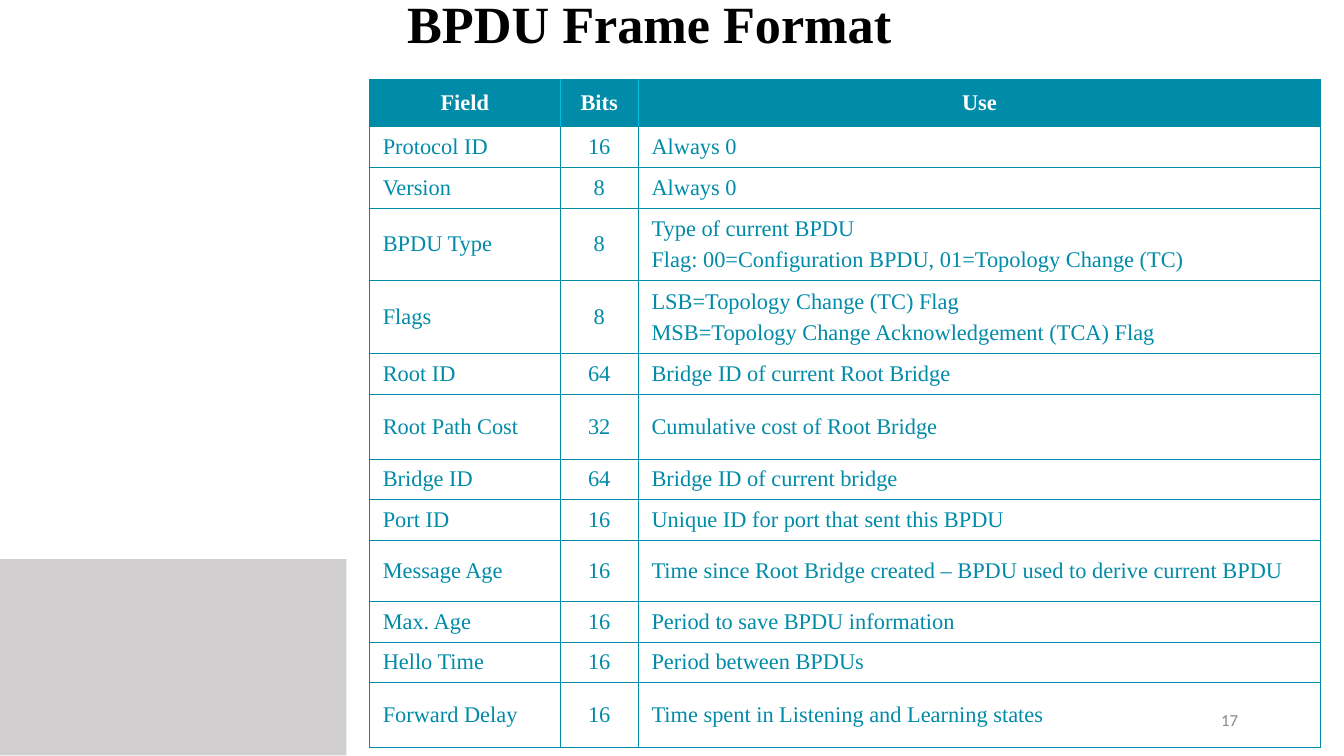
from dataclasses import dataclass

from lxml.etree import SubElement
from pptx import Presentation
from pptx.dml.color import RGBColor
from pptx.enum.shapes import MSO_SHAPE
from pptx.enum.text import MSO_ANCHOR, MSO_AUTO_SIZE, PP_ALIGN
from pptx.oxml.ns import qn
from pptx.util import Cm, Pt

TEAL, CYAN, WHITE = "008BA8", "00BCE2", "FFFFFF"
SERIF = "Times New Roman"
BORDER_WIDTH = Pt(0.45)
COLUMN_WIDTHS = (3.61, 1.47, 12.9)
HEADINGS = ("Field", "Bits", "Use")
HEADING_HEIGHT = 0.89


@dataclass
class FrameField:
    name: str
    bits: int
    use: str
    height: float = 0.77


FIELDS = [
    FrameField("Protocol ID", 16, "Always 0"),
    FrameField("Version", 8, "Always 0"),
    FrameField("BPDU Type", 8, "Type of current BPDU\n"
               "Flag: 00=Configuration BPDU, 01=Topology Change (TC)", 1.38),
    FrameField("Flags", 8, "LSB=Topology Change (TC) Flag\n"
               "MSB=Topology Change Acknowledgement (TCA) Flag", 1.38),
    FrameField("Root ID", 64, "Bridge ID of current Root Bridge"),
    FrameField("Root Path Cost", 32, "Cumulative cost of Root Bridge", 1.22),
    FrameField("Bridge ID", 64, "Bridge ID of current bridge"),
    FrameField("Port ID", 16, "Unique ID for port that sent this BPDU"),
    FrameField("Message Age", 16,
               "Time since Root Bridge created – BPDU used to derive current BPDU", 1.15),
    FrameField("Max. Age", 16, "Period to save BPDU information"),
    FrameField("Hello Time", 16, "Period between BPDUs"),
    FrameField("Forward Delay", 16, "Time spent in Listening and Learning states", 1.22),
]


def color(value: str) -> RGBColor:
    return RGBColor.from_string(value)


def apply(target, values: dict) -> None:
    for name, value in values.items():
        setattr(target, name, value)


def write(frame, text: str, align, font: dict, ink: str) -> None:
    """Fill a text frame with one paragraph per line of text."""
    for index, line in enumerate(text.split("\n")):
        para = frame.add_paragraph() if index else frame.paragraphs[0]
        para.alignment = align
        if index:
            para.space_before = Pt(3)
        span = para.add_run()
        span.text = line
        apply(span.font, font)
        span.font.color.rgb = color(ink)


def set_borders(cell, left: str, right: str) -> None:
    properties = cell._tc.get_or_add_tcPr()
    edges = {"a:lnL": left, "a:lnR": right, "a:lnT": TEAL, "a:lnB": TEAL}
    for position, (tag, ink) in enumerate(edges.items()):
        edge = SubElement(properties, qn(tag), w=str(BORDER_WIDTH))
        fill = SubElement(edge, qn("a:solidFill"))
        SubElement(fill, qn("a:srgbClr"), val=ink)
        properties.insert(position, edge)


def draw_title(page) -> None:
    title = page.shapes.title
    apply(title, {"left": Cm(0.84), "top": Cm(0), "width": Cm(22.86), "height": Cm(1.02)})
    apply(title.text_frame, {"vertical_anchor": MSO_ANCHOR.MIDDLE, "word_wrap": True,
                             "auto_size": MSO_AUTO_SIZE.NONE})
    write(title.text_frame, "BPDU Frame Format", PP_ALIGN.CENTER,
          {"name": SERIF, "size": Pt(28), "bold": True}, "000000")
    title.text_frame.paragraphs[0].line_spacing = 0.9


def draw_panel(page) -> None:
    panel = page.shapes.add_shape(MSO_SHAPE.RECTANGLE, Cm(-0.05), Cm(10.57), Cm(6.6), Cm(3.71))
    panel.shadow.inherit = False
    panel.fill.solid()
    panel.fill.fore_color.rgb = color("D0CECE")
    panel.line.fill.background()


def draw_page_number(page) -> None:
    box = page.shapes.add_textbox(Cm(17.93), Cm(13.23), Cm(5.72), Cm(0.76))
    apply(box.text_frame, {"vertical_anchor": MSO_ANCHOR.MIDDLE, "word_wrap": True})
    write(box.text_frame, "17", PP_ALIGN.RIGHT, {"name": "Calibri", "size": Pt(9)}, "898989")


def draw_table(page) -> None:
    rows = [HEADINGS] + [(field.name, str(field.bits), field.use) for field in FIELDS]
    heights = [HEADING_HEIGHT] + [field.height for field in FIELDS]
    table = page.shapes.add_table(len(rows), len(HEADINGS), Cm(6.98), Cm(1.5),
                                  Cm(sum(COLUMN_WIDTHS)), Cm(sum(heights))).table
    apply(table, {"first_row": True, "horz_banding": False})
    for column, width in zip(table.columns, COLUMN_WIDTHS):
        column.width = Cm(width)
    for row, height in zip(table.rows, heights):
        row.height = Cm(height)

    last = len(HEADINGS) - 1
    for r, texts in enumerate(rows):
        heading = r == 0
        inner = CYAN if heading else TEAL
        for c, text in enumerate(texts):
            cell = table.cell(r, c)
            cell.vertical_anchor = MSO_ANCHOR.MIDDLE
            if heading:
                cell.fill.solid()
                cell.fill.fore_color.rgb = color(TEAL)
            else:
                cell.fill.background()
            set_borders(cell, inner if c else TEAL, inner if c < last else TEAL)
            write(cell.text_frame, text,
                  PP_ALIGN.CENTER if heading or c == 1 else PP_ALIGN.LEFT,
                  {"name": SERIF, "size": Pt(12), "bold": heading},
                  WHITE if heading else TEAL)


def main() -> None:
    deck = Presentation()
    apply(deck, {"slide_width": Cm(25.4), "slide_height": Cm(14.29)})
    page = deck.slides.add_slide(deck.slide_layouts[5])
    draw_title(page)
    draw_panel(page)
    draw_page_number(page)
    draw_table(page)
    deck.save("out.pptx")


if __name__ == "__main__":
    main()
